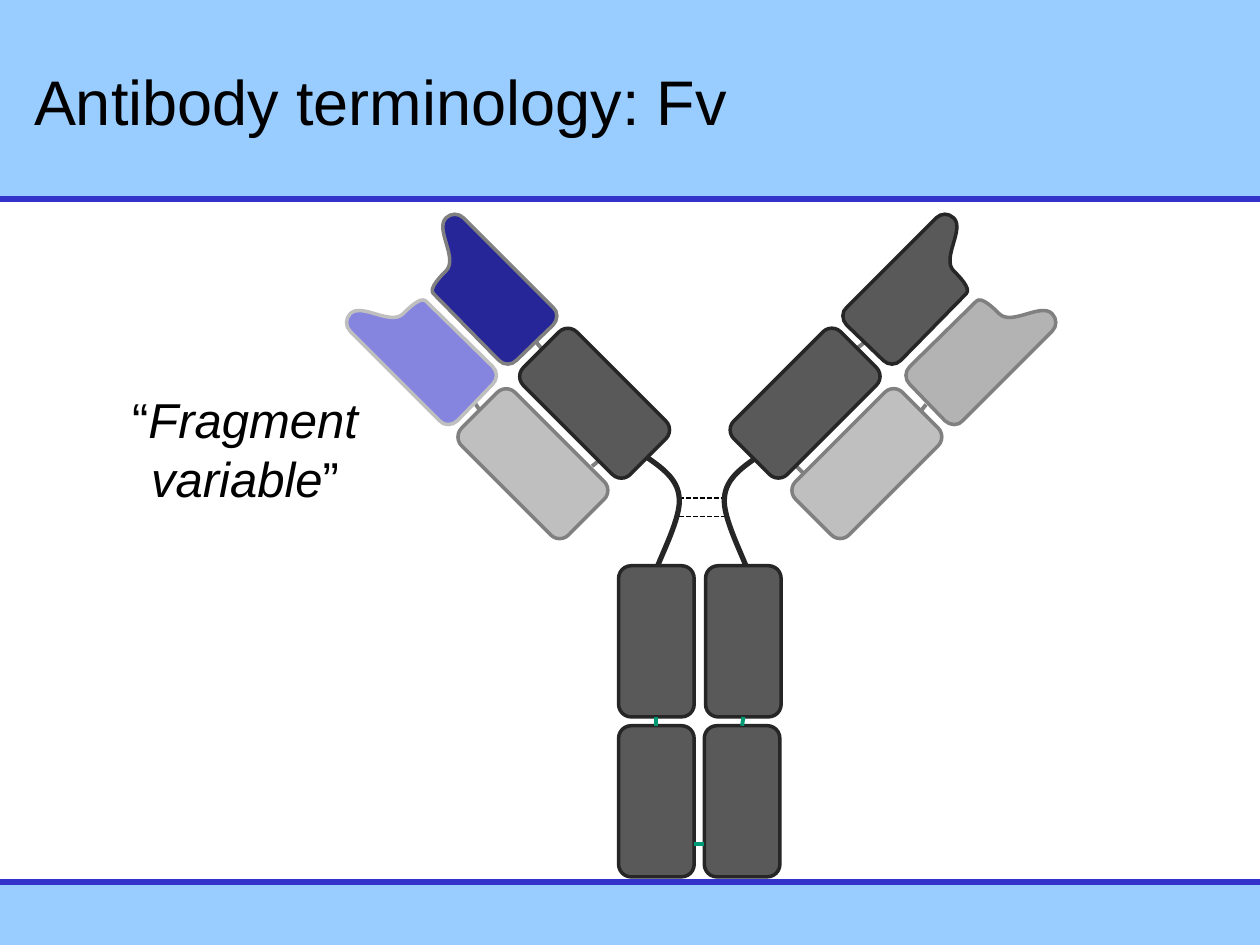
from lxml import etree
from pptx import Presentation
from pptx.dml.color import RGBColor
from pptx.enum.dml import MSO_LINE
from pptx.enum.shapes import MSO_CONNECTOR, MSO_SHAPE
from pptx.enum.text import MSO_ANCHOR, MSO_AUTO_SIZE, PP_ALIGN
from pptx.oxml.ns import qn
from pptx.util import Inches, Pt

SKY = RGBColor(0x99, 0xCC, 0xFF)
RULE_BLUE = RGBColor(0x33, 0x33, 0xCC)
BLACK = RGBColor(0, 0, 0)
HEAVY_FILL = RGBColor(0x59, 0x59, 0x59)
HEAVY_EDGE = RGBColor(0x26, 0x26, 0x26)
LIGHT_FILL = RGBColor(0xBF, 0xBF, 0xBF)
LIGHT_EDGE = RGBColor(0x80, 0x80, 0x80)
VL_GREY = RGBColor(0xB3, 0xB3, 0xB3)
VH_BLUE = RGBColor(0x26, 0x26, 0x99)
VL_BLUE = RGBColor(0x85, 0x85, 0xE0)
LINK_GREEN = RGBColor(0x00, 0x99, 0x73)

DOMAIN_WIDTH, DOMAIN_HEIGHT = 0.6, 1.2


def write_text(frame, lines, size, align=PP_ALIGN.LEFT, anchor=MSO_ANCHOR.TOP, wrap=True):
    """Fill the frame; each line is a list of (text, italic) runs."""
    frame.word_wrap = wrap
    frame.vertical_anchor = anchor
    for number, runs in enumerate(lines):
        paragraph = frame.add_paragraph() if number else frame.paragraphs[0]
        paragraph.alignment = align
        for text, italic in runs:
            run = paragraph.add_run()
            run.text = text
            run.font.name = "Arial"
            run.font.size = Pt(size)
            run.font.italic = italic
            run.font.color.rgb = BLACK


def add_line(start, end, color, width, dash=None):
    line = shapes.add_connector(MSO_CONNECTOR.STRAIGHT, *map(Inches, start + end))
    line.line.color.rgb = color
    line.line.width = Pt(width)
    if dash:
        line.line.dash_style = dash
    etree.SubElement(line.element.spPr, qn("a:effectLst"))
    return line


prs = Presentation()
prs.slide_width, prs.slide_height = Inches(10), Inches(7.5)
slide = prs.slides.add_slide(prs.slide_layouts[5])
shapes = slide.shapes

# Header and footer bands
for top, height in [(7, 0.5), (0, 1.58)]:
    band = shapes.add_shape(MSO_SHAPE.RECTANGLE, 0, Inches(top), Inches(10), Inches(height))
    band.shadow.inherit = False
    band.fill.solid()
    band.fill.fore_color.rgb = SKY
    band.line.fill.background()
for rule_y in (1.58, 7):
    add_line((0, rule_y), (10, rule_y), RULE_BLUE, 3)

title = shapes.title
title.left, title.top, title.width, title.height = map(Inches, (0.17, 0.17, 8.5, 1.25))
write_text(title.text_frame, [[("Antibody terminology: Fv", False)]], 36, anchor=MSO_ANCHOR.MIDDLE)
title.element.getparent().append(title.element)  # in front of the header band

# Links between the domains of each arm
for start, end in [
    ((3.77, 3.2), (3.81, 3.26)),
    ((4.26, 2.72), (4.3, 2.77)),
    ((4.76, 3.65), (4.7, 3.7)),
    ((6.32, 3.7), (6.38, 3.76)),
    ((6.78, 2.78), (6.99, 2.62)),
    ((7.31, 3.26), (7.35, 3.21)),
]:
    add_line(start, end, LIGHT_EDGE, 2.25)

# Disulfide bridges of the hinge
for bridge_y in (3.95, 4.1):
    add_line((5.39, bridge_y), (5.75, bridge_y), BLACK, 1, MSO_LINE.SQUARE_DOT)

# Outlines of the right half: a start point, then segments of one point (line)
# or three points (curve)
hinge = [
    [(6.02, 3.62)],
    [(5.89, 3.71), (5.76, 3.8), (5.75, 3.95)],
    [(5.73, 4.1), (5.9, 4.42), (5.93, 4.52)],
]
heavy_variable = [
    [(7.67, 2.33)],
    [(7.71, 2.29), (7.61, 2.19), (7.57, 2.15)],
    [(7.47, 2.05), (7.66, 1.82), (7.57, 1.73)],
    [(7.53, 1.69), (7.47, 1.69), (7.43, 1.73)],
    [(6.72, 2.44)],
    [(6.68, 2.47), (6.68, 2.54), (6.72, 2.58)],
    [(7.01, 2.86)],
    [(7.05, 2.9), (7.11, 2.9), (7.15, 2.86)],
    [(7.67, 2.33)],
]
# The light chain mirrors the heavy chain across the arm's axis
light_variable = [[(10.08 - y, 10.06 - x) for x, y in segment] for segment in heavy_variable]

for outline, mirror_sum, fill, edge, width in [
    (hinge, None, None, HEAVY_EDGE, 3),
    (hinge, 11.14, None, HEAVY_EDGE, 3),
    (heavy_variable, None, HEAVY_FILL, HEAVY_EDGE, 2),
    (light_variable, None, VL_GREY, LIGHT_EDGE, 2),
    (heavy_variable, 11.11, VH_BLUE, LIGHT_EDGE, 2),
    (light_variable, 11.13, VL_BLUE, LIGHT_FILL, 2),
]:
    points = [
        (Inches(mirror_sum - x if mirror_sum else x), Inches(y))
        for segment in outline for x, y in segment
    ]
    builder = shapes.build_freeform(*points[0])
    builder.add_line_segments(points[1:], close=fill is not None)
    part = builder.convert_to_shape()
    part.shadow.inherit = False
    part.line.color.rgb = edge
    part.line.width = Pt(width)
    if fill is None:
        part.fill.background()
    else:
        part.fill.solid()
        part.fill.fore_color.rgb = fill
    # Turn each run of three line points into one Bezier curve
    steps = iter(list(part.element.iter(qn("a:lnTo"))))
    for segment in outline[1:]:
        segment_steps = [next(steps) for _ in segment]
        if len(segment) == 3:
            curve = etree.Element(qn("a:cubicBezTo"))
            segment_steps[0].addprevious(curve)
            for step in segment_steps:
                curve.append(step[0])
                step.getparent().remove(step)

# Constant domains
constant_domains = []
for left, top, angle, fill, edge in [
    (4.42, 2.6, 315, HEAVY_FILL, HEAVY_EDGE),
    (3.93, 3.08, 315, LIGHT_FILL, LIGHT_EDGE),
    (6.09, 2.6, 45, HEAVY_FILL, HEAVY_EDGE),
    (6.58, 3.08, 45, LIGHT_FILL, LIGHT_EDGE),
    (4.91, 4.49, 0, HEAVY_FILL, HEAVY_EDGE),
    (5.6, 4.49, 0, HEAVY_FILL, HEAVY_EDGE),
    (4.91, 5.76, 0, HEAVY_FILL, HEAVY_EDGE),
    (5.59, 5.76, 0, HEAVY_FILL, HEAVY_EDGE),
]:
    domain = shapes.add_shape(
        MSO_SHAPE.ROUNDED_RECTANGLE,
        *map(Inches, (left, top, DOMAIN_WIDTH, DOMAIN_HEIGHT)))
    domain.rotation = angle
    domain.shadow.inherit = False
    domain.fill.solid()
    domain.fill.fore_color.rgb = fill
    domain.line.color.rgb = edge
    domain.line.width = Pt(2)
    constant_domains.append(domain)

# Links within the stem
upper_stem, lower_stem = constant_domains[4:6], constant_domains[6:8]
for link_x, upper, lower in zip((5.21, 5.9), upper_stem, lower_stem):
    stem_link = add_line((link_x, 5.69), (link_x, 5.76), LINK_GREEN, 2.25)
    stem_link.begin_connect(upper, 2)
    stem_link.end_connect(lower, 0)
add_line((5.51, 6.7), (5.59, 6.7), LINK_GREEN, 2.25)

fragment_label = shapes.add_textbox(*map(Inches, (0.91, 3.04, 2.07, 1.04))).text_frame
fragment_label.auto_size = MSO_AUTO_SIZE.SHAPE_TO_FIT_TEXT
write_text(
    fragment_label,
    [[("“", False), ("Fragment", True)], [("variable", True), ("”", False)]],
    28, align=PP_ALIGN.CENTER, wrap=False)

prs.save("out.pptx")
